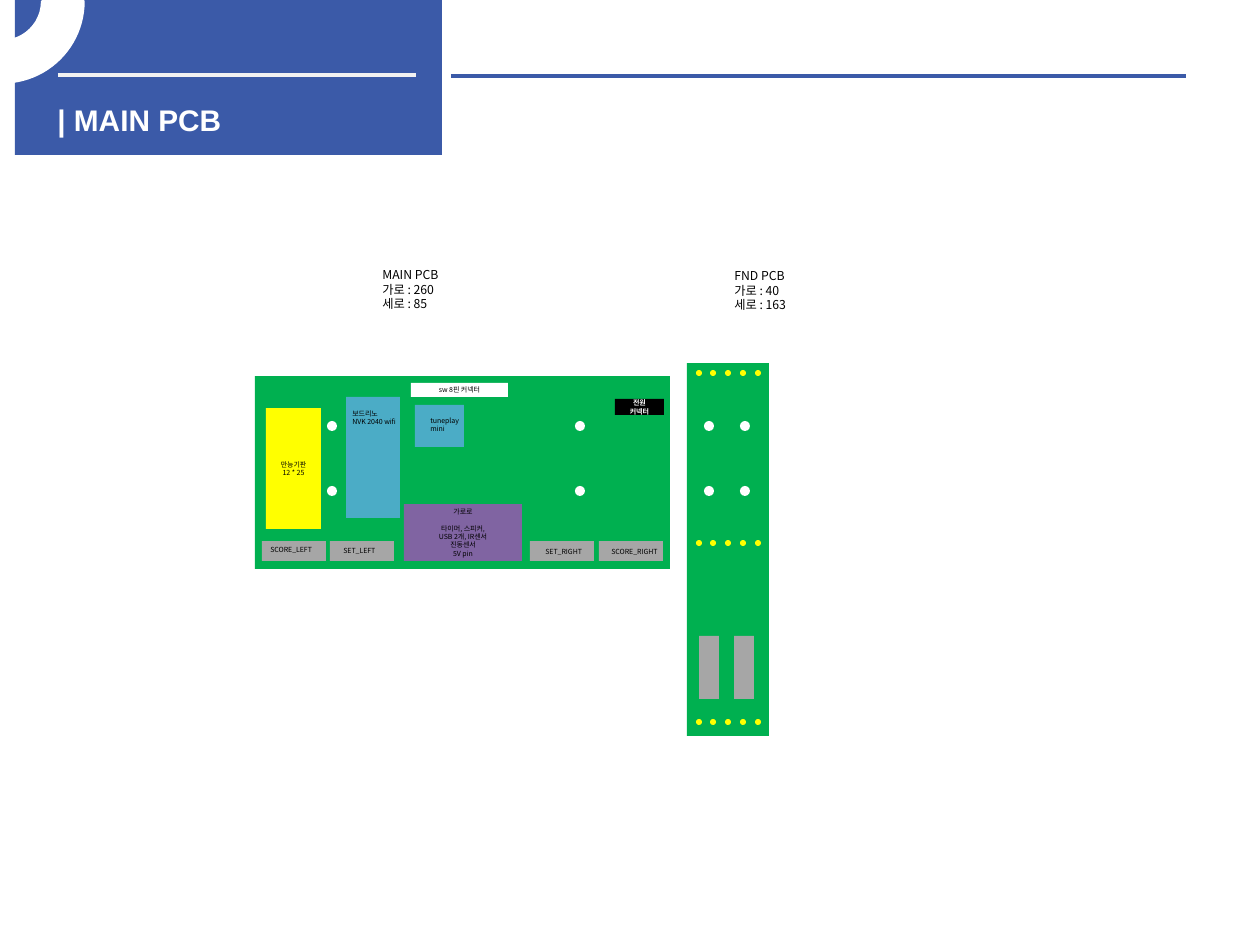
from lxml.etree import SubElement
from pptx import Presentation
from pptx.dml.color import RGBColor as RGB
from pptx.enum.shapes import MSO_CONNECTOR as LINK, MSO_SHAPE as KIND
from pptx.enum.text import MSO_ANCHOR as ANCHOR, PP_ALIGN as ALIGN
from pptx.oxml.ns import qn
from pptx.util import Inches, Pt

PX = Inches(1) / 126
SANS = "Noto Sans CJK KR"
HUES = {
    "blue": "3B5AA8", "pale": "F2F2F2", "white": "FFFFFF", "black": "000000",
    "green": "00B050", "cyan": "4BACC6", "gray": "A6A6A6",
    "yellow": "FFFF00", "purple": "8064A2",
}


def emu(*vals):
    return [round(v * PX) for v in vals]


def hue(name):
    return RGB.from_string(HUES[name])


def write(frame, lines, size, color="black", face=SANS, bold=False, align=ALIGN.LEFT):
    frame.word_wrap = True
    for i, line in enumerate(lines):
        para = frame.paragraphs[0] if i == 0 else frame.add_paragraph()
        para.text = line
        para.alignment = align
        font = para.font
        font.size = Pt(size)
        font.bold = bold
        font.color.rgb = hue(color)
        font.name = face
        props = para._p.find(".//" + qn("a:defRPr"))
        SubElement(props, qn("a:ea")).set("typeface", face)


def shape(slide, box, fill, kind=KIND.RECTANGLE):
    item = slide.shapes.add_shape(kind, *emu(*box))
    item.shadow.inherit = False
    item.fill.solid()
    item.fill.fore_color.rgb = hue(fill)
    item.line.fill.background()
    return item


def block(slide, box, fill, lines, color="black", bold=False):
    frame = shape(slide, box, fill).text_frame
    frame.vertical_anchor = ANCHOR.MIDDLE
    write(frame, lines, 4, color, bold=bold, align=ALIGN.CENTER)
    return frame


def label(slide, box, lines, size=4, **style):
    frame = slide.shapes.add_textbox(*emu(*box)).text_frame
    write(frame, lines, size, **style)


def dot(slide, x, y, size, fill):
    shape(slide, (x, y, size, size), fill, KIND.OVAL)


def rule(slide, x1, x2, y, color):
    line = slide.shapes.add_connector(LINK.STRAIGHT, *emu(x1, y, x2, y))
    line.line.color.rgb = hue(color)
    line.line.width = Pt(2.25)
    SubElement(line._element.spPr, qn("a:effectLst"))


def header(slide, x, y, w, h):
    shape(slide, (x, y, w, h), "blue")
    rule(slide, x + 43, x + 401, y + 75, "pale")
    rule(slide, x + 436, x + 1171, y + 76, "blue")
    label(slide, (x + 30, y + 96, 407, 38), ["| MAIN PCB"], 17,
          color="white", face="Arial", bold=True)
    arc = shape(slide, (x - 94, y - 79, 162, 161), "white", KIND.BLOCK_ARC)
    for i, val in enumerate((0, 119.05, 0.25)):
        arc.adjustments[i] = val
    arc.line.color.rgb = hue("white")
    arc.line.width = Pt(2)


def main_board(slide, x, y, w, h):
    shape(slide, (x, y, w, h), "green")
    label(slide, (x + 115, y - 115, 159, 57),
          ["MAIN PCB", "가로 : 260", "세로 : 85"], 7)
    shape(slide, (x + 91, y + 21, 54, 121), "cyan")
    label(slide, (x + 85, y + 27, 87, 30), ["보드리노", "NVK 2040 wifi"])
    shape(slide, (x + 160, y + 29, 49, 42), "cyan")
    label(slide, (x + 163, y + 34, 63, 30), ["tuneplay", "mini"])
    ports = [
        (7, 3, 163, "SCORE_LEFT"), (75, 76, 164, "SET_LEFT"),
        (275, 278, 165, "SET_RIGHT"), (344, 344, 165, "SCORE_RIGHT"),
    ]
    for left, start, top, name in ports:
        shape(slide, (x + left, y + 165, 64, 20), "gray")
        label(slide, (x + start, y + top, 87, 21), [name])
    block(slide, (x + 156, y + 7, 97, 14), "white", ["sw 8핀 커넥터"])
    block(slide, (x + 360, y + 23, 49, 16), "black", ["전원", "커넥터"], "white", True)
    block(slide, (x + 11, y + 32, 55, 121), "yellow", ["만능기판", "12 * 25"])
    frame = block(slide, (x + 149, y + 128, 118, 57), "purple",
                  ["가로로", "타이머, 스피커,", "USB 2개, IR센서", "진동센서", "5V pin"])
    frame.paragraphs[1].space_before = Pt(4.8)
    for left in (72, 320):
        for top in (45, 110):
            dot(slide, x + left, y + top, 10, "white")


def fnd_board(slide, x, y, w, h):
    shape(slide, (x, y, w, h), "green")
    label(slide, (x + 35, y - 101, 159, 57),
          ["FND PCB", "가로 : 40", "세로 : 163"], 7)
    for left in (17, 53):
        for top in (58, 123):
            dot(slide, x + left, y + top, 10, "white")
    for top in (7, 177, 356):
        for i in range(5):
            dot(slide, x + 9 + i * 59 // 4, y + top, 6, "yellow")
    for left in (12, 47):
        shape(slide, (x + left, y + 273, 20, 63), "gray")


def main():
    deck = Presentation()
    deck.slide_width, deck.slide_height = emu(1260, 945)
    slide = deck.slides.add_slide(deck.slide_layouts[6])
    header(slide, 15, 0, 427, 155)
    main_board(slide, 255, 376, 415, 193)
    fnd_board(slide, 687, 363, 82, 373)
    deck.save("out.pptx")


if __name__ == "__main__":
    main()
